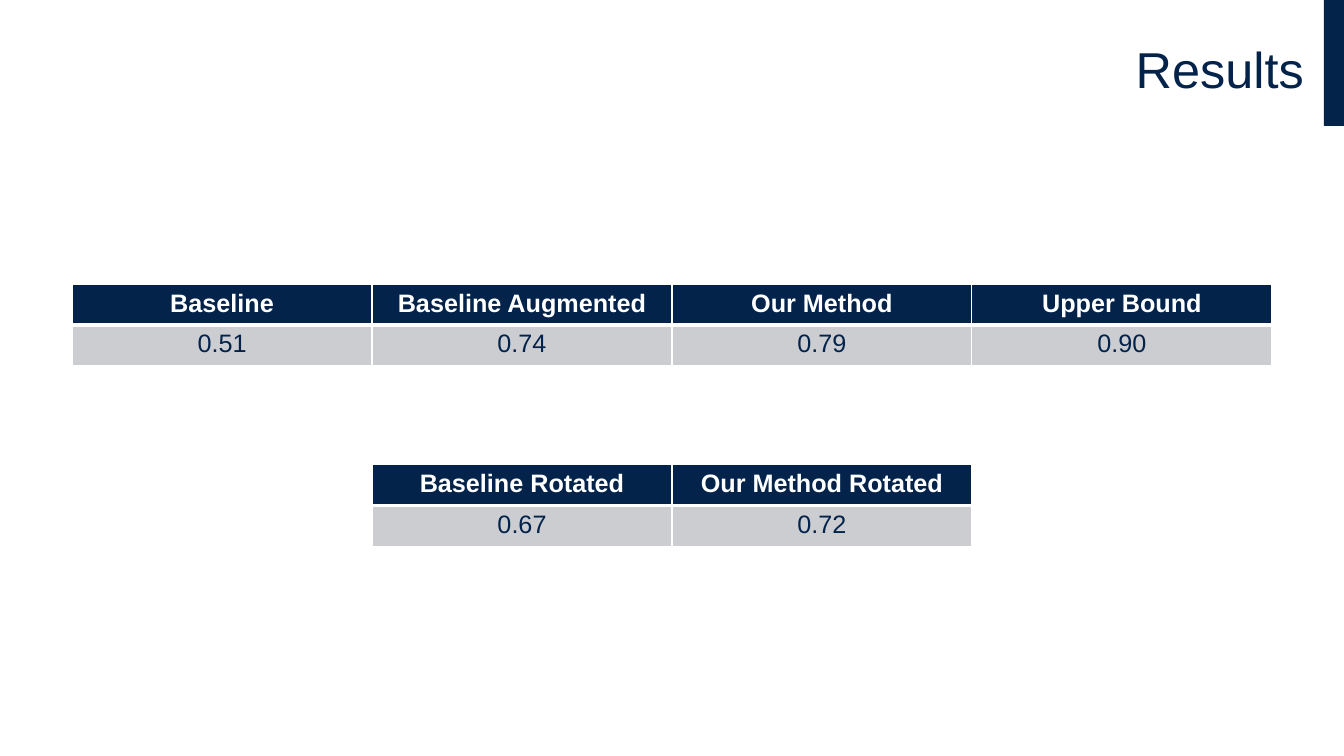
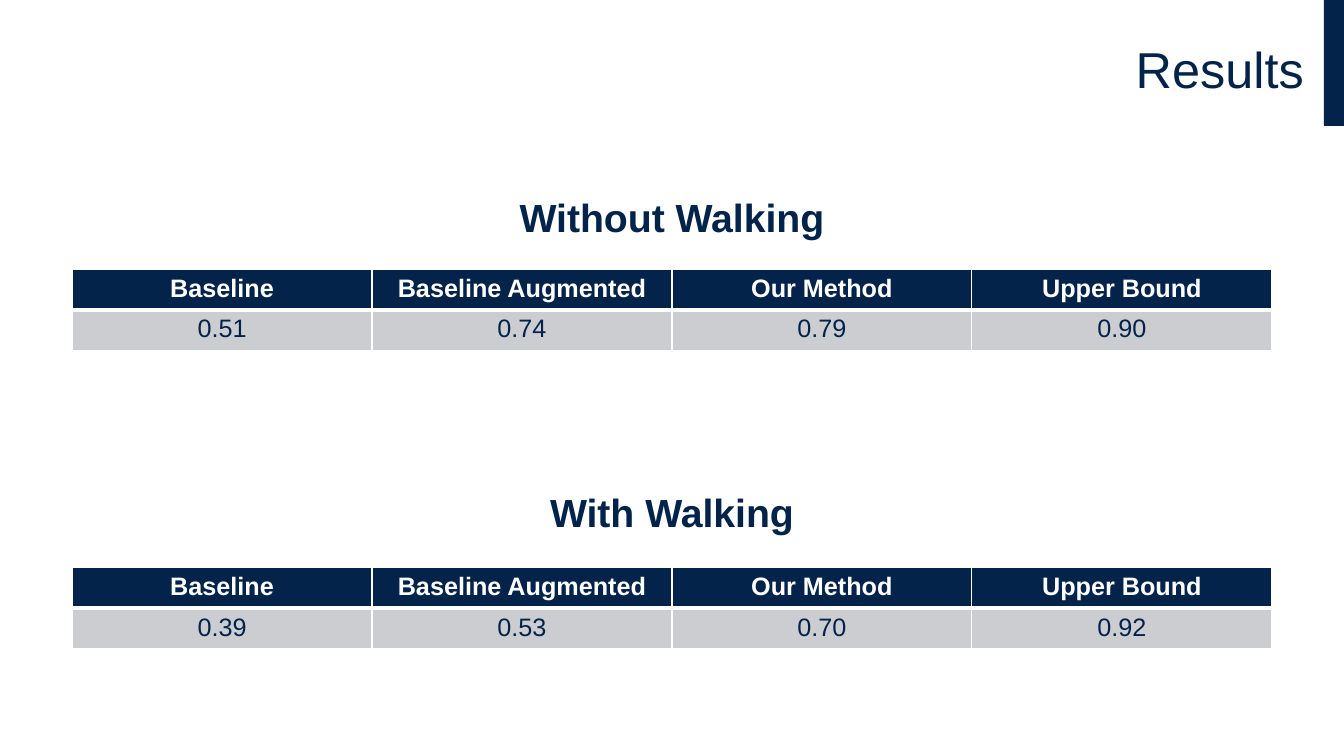
"""Build two slides of result tables."""
from dataclasses import dataclass

from lxml import etree
from pptx import Presentation
from pptx import util as u
from pptx.dml.color import RGBColor
from pptx.enum import shapes, text
from pptx.oxml import ns


@dataclass(frozen=True)
class Theme:
    """Colours, font, type sizes and table measures in one place."""
    navy: str = "03234B"
    grey: str = "CCCDD0"
    white: str = "FFFFFF"
    font: str = "Arial"
    title: int = 36
    head: int = 28
    body: int = 18
    col: float = 11.9 / 4
    row: float = 0.405
    thin: float = 1
    thick: float = 3


T = Theme()
WIDE, HIGH = 13.33, 7.5
METHODS = ["Baseline", "Baseline Augmented", "Our Method", "Upper Bound"]
ROTATED = ["Baseline Rotated", "Our Method Rotated"]


def style(para, size, color, align, bold=False):
    """Set the font and alignment of a paragraph."""
    para.alignment = align
    font = para.font
    font.name, font.size, font.bold = T.font, u.Pt(size), bold
    font.color.rgb = RGBColor.from_string(color)


def label(slide, box, words, size, align, bold=False):
    """Place a line of navy text in a box, centred from top to bottom."""
    frame = slide.shapes.add_textbox(*map(u.Inches, box)).text_frame
    frame.word_wrap = True
    frame.vertical_anchor = text.MSO_ANCHOR.MIDDLE
    para = frame.paragraphs[0]
    para.text = words
    style(para, size, T.navy, align, bold)
    return para


def edge(cell, side, width):
    """Draw one white border of a cell."""
    line = etree.SubElement(cell._tc.get_or_add_tcPr(), ns.qn(f"a:ln{side}"),
                            w=str(u.Pt(width)))
    fill = etree.SubElement(line, ns.qn("a:solidFill"))
    etree.SubElement(fill, ns.qn("a:srgbClr"), val=T.white)


def scores(slide, top, names, values):
    """Place a centred table with a header row and a row of scores."""
    count = len(names)
    width = count * T.col
    box = ((WIDE - width) / 2, top, width, 2 * T.row)
    table = slide.shapes.add_table(2, count, *map(u.Inches, box)).table
    rows = ((names, T.navy, T.white, True, T.thin, T.thick),
            (values, T.grey, T.navy, False, T.thick, T.thin))
    for r, (words, back, ink, bold, upper, lower) in enumerate(rows):
        for c, word in enumerate(words):
            cell = table.cell(r, c)
            for side, weight in zip("LRTB", (T.thin, T.thin, upper, lower)):
                edge(cell, side, weight)
            cell.fill.solid()
            cell.fill.fore_color.rgb = RGBColor.from_string(back)
            cell.text = word
            style(cell.text_frame.paragraphs[0], T.body, ink,
                  text.PP_ALIGN.CENTER, bold)


def base(deck, title):
    """Add a slide with the corner band and a right-aligned title."""
    slide = deck.slides.add_slide(deck.slide_layouts[6])
    band = slide.shapes.add_shape(
        shapes.MSO_SHAPE.RECTANGLE,
        *map(u.Inches, (WIDE - 0.2, 0, 0.2, HIGH / 6)))
    band.shadow.inherit = False
    band.fill.solid()
    band.fill.fore_color.rgb = RGBColor.from_string(T.navy)
    band.line.fill.background()
    para = label(slide, (0.33, 0, 12.7, 1.43), title, T.title,
                 text.PP_ALIGN.RIGHT)
    para.line_spacing = 0.9
    return slide


def caption(slide, top, words):
    """Place a bold heading centred on the slide."""
    width = 3.51
    label(slide, ((WIDE - width) / 2, top, width, 0.57), words, T.head,
          text.PP_ALIGN.CENTER, True)


def main():
    """Build and save the deck."""
    deck = Presentation()
    deck.slide_width, deck.slide_height = u.Inches(WIDE), u.Inches(HIGH)

    slide = base(deck, "Results")
    still = ["0.51", "0.74", "0.79", "0.90"]
    scores(slide, 2.82, METHODS, still)
    scores(slide, 4.61, ROTATED, ["0.67", "0.72"])

    slide = base(deck, "Results")
    walking = ["0.39", "0.53", "0.70", "0.92"]
    for head, name, top, values in ((1.87, "Without Walking", 2.67, still),
                                    (4.79, "With Walking", 5.63, walking)):
        caption(slide, head, name)
        scores(slide, top, METHODS, values)

    deck.save("out.pptx")


if __name__ == "__main__":
    main()
